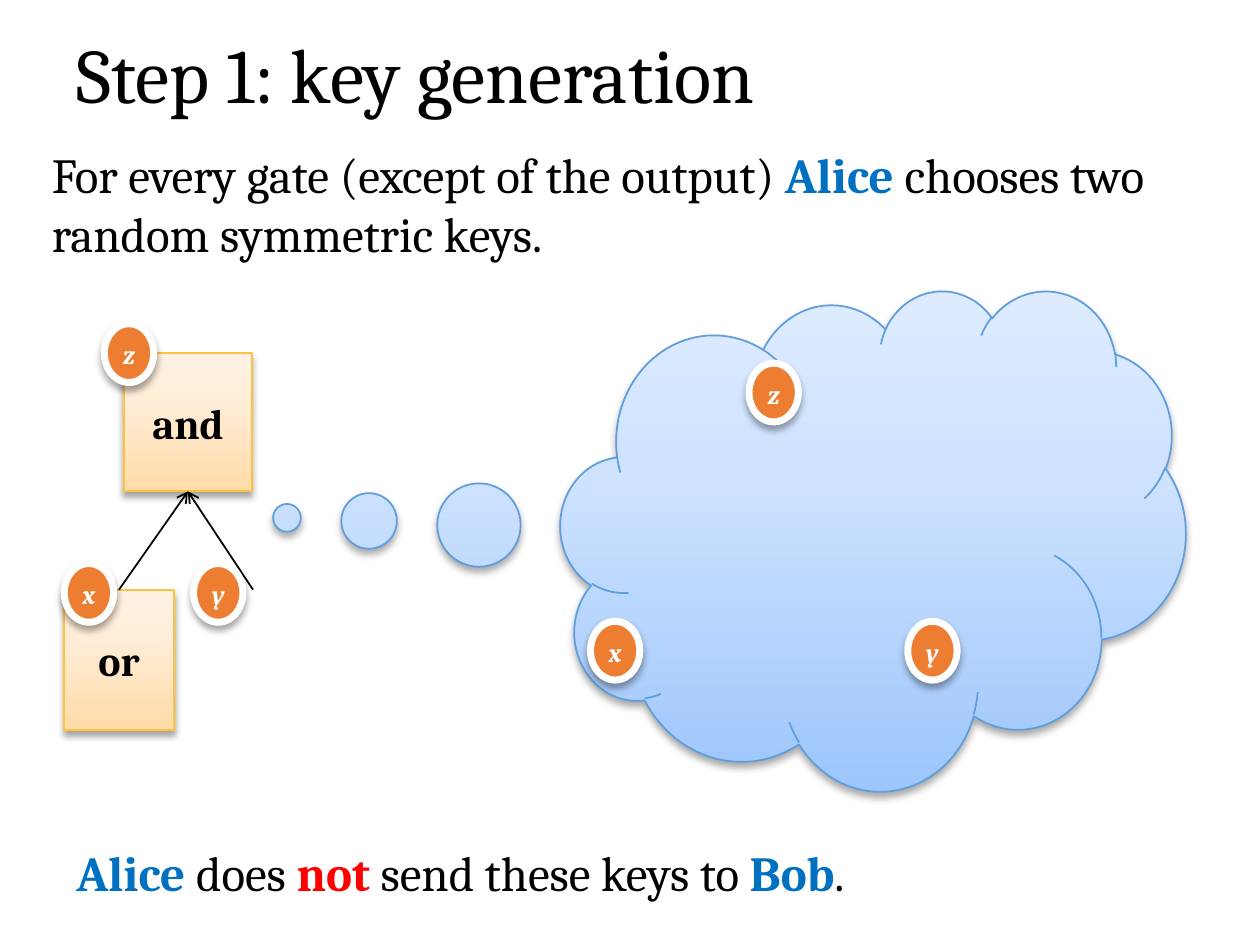
from lxml.etree import SubElement
from pptx import Presentation
from pptx.dml.color import RGBColor
from pptx.enum.shapes import MSO_CONNECTOR, MSO_SHAPE
from pptx.enum.text import MSO_ANCHOR, MSO_AUTO_SIZE, PP_ALIGN
from pptx.oxml.ns import qn
from pptx.util import Pt

THEME = dict(
    font="Cambria", black="000000", white="FFFFFF", name="0070C0", warning="FF0000",
    wire="ED7D31", gate_line="FFC23E", cloud_line="5F9EDD",
    gate_stops=[(0, "FFDBA7"), (65, "FFEDD8"), (100, "FFF2E4")],
    cloud_stops=[(0, "9DC6FB"), (65, "CFE3FF"), (100, "DEEBFF")],
    title_size=44, body_size=28, gate_size=24, wire_size=15,
)

# Boxes are left, top, width, height in points.
TITLE = ("Step 1: key generation", (36.5, 0, 648, 90))
# Each statement is a list of (words, emphasis colour or None).
STATEMENTS = [
    ([("For every gate (except of the output) ", None), ("Alice ", "name"),
      ("chooses two random symmetric keys.", None)], (22.5, 79, 686, 75)),
    ([("Alice ", "name"), ("does ", None), ("not ", "warning"),
      ("send these keys to ", None), ("Bob", "name"), (".", None)],
     (36.5, 478, 686, 41)),
]
CLOUD = (320.4, 165.6, 357.12, 285.84)
CLOUD_POINTER = (-0.938, -0.044)
GATES = {"or": (36.5, 337, 63, 80.2), "and": (70.7, 201.8, 73.4, 79)}
FREE_INPUT = (144.6, 337)
WIRE_SIZE = (28.2, 33.6)
WIRES = [("x", 36.7, 322), ("y", 110.6, 322), ("z", 59.6, 185),
         ("x", 337.4, 355), ("y", 518.7, 355), ("z", 428, 207.5)]


def rgb(key):
    return RGBColor.from_string(THEME[key])


def points(values):
    return [Pt(value) for value in values]


def write(frame, runs, size, color="black", bold=False, italic=False,
          align=PP_ALIGN.LEFT, anchor=MSO_ANCHOR.TOP, spacing=None):
    """Fill one paragraph; runs with an emphasis colour become bold."""
    frame.word_wrap = True
    frame.vertical_anchor = anchor
    paragraph = frame.paragraphs[0]
    paragraph.alignment = align
    paragraph.line_spacing = spacing
    for words, emphasis in runs:
        run = paragraph.add_run()
        run.text = words
        run.font.name = THEME["font"]
        run.font.size = Pt(THEME[size])
        run.font.bold = bold or emphasis is not None
        run.font.italic = italic
        run.font.color.rgb = rgb(emphasis or color)


def add_color(parent, value):
    return SubElement(parent, qn("a:srgbClr"), val=value)


def fill_upward(shape, stops):
    """Apply a gradient that runs from bottom to top."""
    shape.fill.gradient()
    shape.fill.gradient_angle = 90
    stop_list = shape._element.spPr.find(qn("a:gradFill")).find(qn("a:gsLst"))
    stop_list.clear()
    for percent, color in stops:
        add_color(SubElement(stop_list, qn("a:gs"), pos=str(percent * 1000)), color)


def drop_shadow(shape):
    shape.shadow.inherit = False
    effects = shape._element.spPr.find(qn("a:effectLst"))
    shadow = SubElement(effects, qn("a:outerShdw"), blurRad=str(Pt(4)),
                        dist=str(Pt(3)), dir=str(90 * 60000), rotWithShape="0")
    SubElement(add_color(shadow, THEME["black"]), qn("a:alpha"), val="35000")


def add_figure(slide, preset, box, line, width, fill=None, stops=None):
    shape = slide.shapes.add_shape(preset, *points(box))
    if stops:
        fill_upward(shape, THEME[stops])
    else:
        shape.fill.solid()
        shape.fill.fore_color.rgb = rgb(fill)
    shape.line.color.rgb = rgb(line)
    shape.line.width = Pt(width)
    drop_shadow(shape)
    return shape


def add_arrow(slide, start, target, source=None):
    """Draw an arrow into the bottom of a gate, from a gate's top if given."""
    arrow = slide.shapes.add_connector(MSO_CONNECTOR.STRAIGHT, *points(start + start))
    if source is not None:
        arrow.begin_connect(source, 0)
    arrow.end_connect(target, 2)
    arrow.line.color.rgb = rgb("black")
    arrow.line.width = Pt(1)
    properties = arrow._element.spPr
    SubElement(properties.find(qn("a:ln")), qn("a:tailEnd"), type="arrow")
    SubElement(properties, qn("a:effectLst"))


def main():
    deck = Presentation()
    deck.slide_width, deck.slide_height = Pt(720), Pt(540)
    slide = deck.slides.add_slide(deck.slide_layouts[5])

    cloud = add_figure(slide, MSO_SHAPE.CLOUD_CALLOUT, CLOUD, "cloud_line", 1,
                       stops="cloud_stops")
    for index, offset in enumerate(CLOUD_POINTER):
        cloud.adjustments[index] = offset

    heading, box = TITLE
    title = slide.shapes.title
    title.left, title.top, title.width, title.height = points(box)
    title.text_frame.auto_size = MSO_AUTO_SIZE.NONE
    write(title.text_frame, [(heading, None)], "title_size",
          anchor=MSO_ANCHOR.MIDDLE, spacing=0.9)

    gates = {}
    for label, box in GATES.items():
        gates[label] = add_figure(slide, MSO_SHAPE.RECTANGLE, box, "gate_line", 1,
                                  stops="gate_stops")
        write(gates[label].text_frame, [(label, None)], "gate_size", bold=True,
              align=PP_ALIGN.CENTER, anchor=MSO_ANCHOR.MIDDLE)

    add_arrow(slide, FREE_INPUT, gates["and"], source=gates["or"])
    add_arrow(slide, FREE_INPUT, gates["and"])

    for label, left, top in WIRES:
        wire = add_figure(slide, MSO_SHAPE.OVAL, (left, top, *WIRE_SIZE), "white", 4,
                          fill="wire")
        wire.text_frame.margin_left = wire.text_frame.margin_right = 0
        write(wire.text_frame, [(label, None)], "wire_size", color="white",
              bold=True, italic=True, align=PP_ALIGN.CENTER)

    for runs, box in STATEMENTS:
        statement = slide.shapes.add_textbox(*points(box))
        write(statement.text_frame, runs, "body_size")
        statement.text_frame.auto_size = MSO_AUTO_SIZE.SHAPE_TO_FIT_TEXT

    deck.save("out.pptx")


if __name__ == "__main__":
    main()
